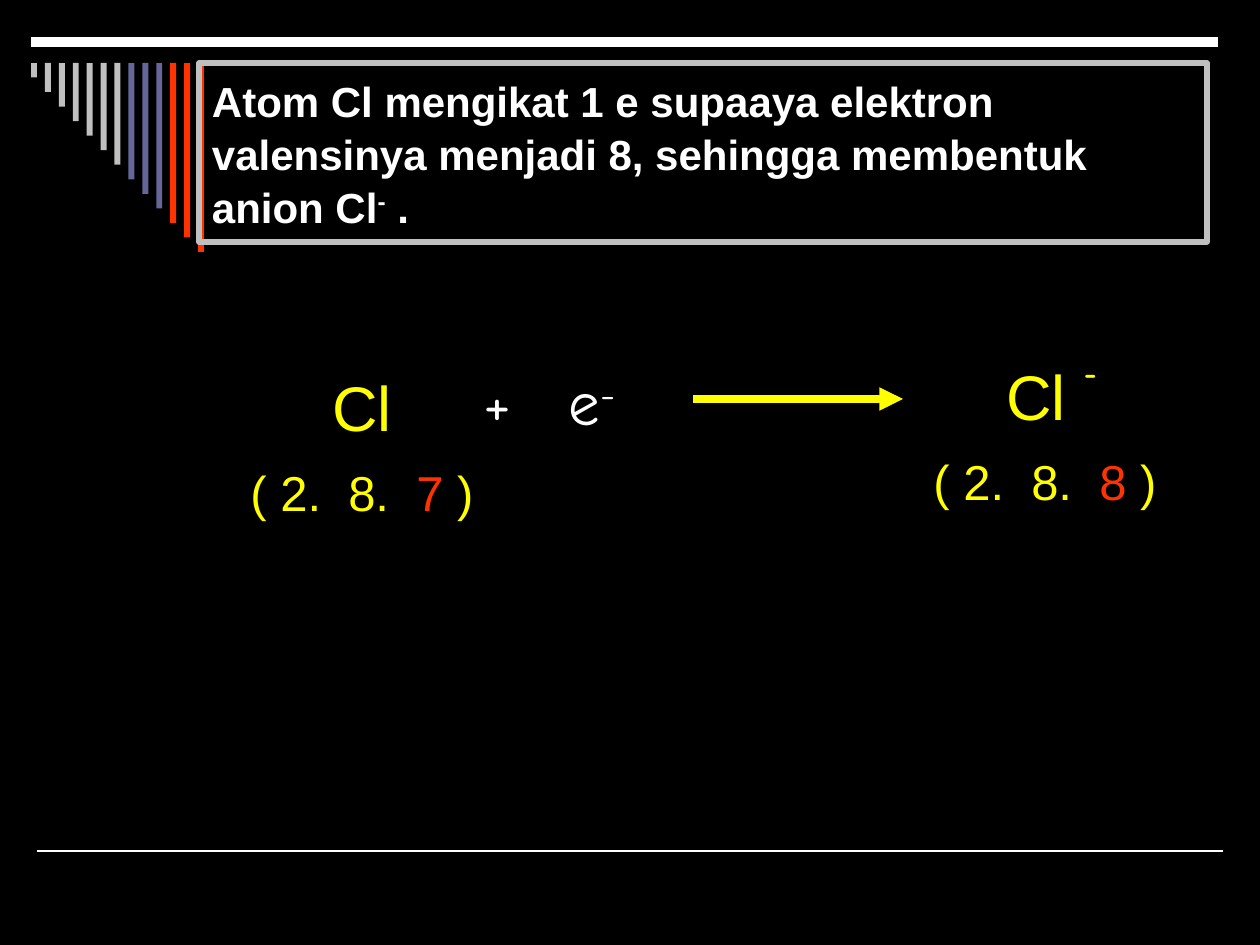
"""Build the slide on a chlorine atom gaining an electron to form an anion."""
from lxml.etree import SubElement
from pptx import Presentation
from pptx.dml.color import RGBColor
from pptx.enum.shapes import MSO_CONNECTOR as Connector, MSO_SHAPE as Shape
from pptx.enum.text import MSO_ANCHOR as Anchor, PP_ALIGN as Align
from pptx.oxml.ns import qn
from pptx.util import Pt

COLORS = {
    "black": "000000", "white": "FFFFFF", "silver": "C0C0C0",
    "slate": "666699", "red": "FF3300", "yellow": "FFFF00",
}
SLIDE_SIZE = (1260, 945)
BARS = ["silver"] * 7 + ["slate"] * 3 + ["red"] * 3
BAR_LEFT, BAR_TOP, BAR_WIDTH, BAR_LAST_LEFT, BAR_LAST_HEIGHT = 31, 63, 6, 198, 189

RULES = [
    ((37, 851), (1223, 851), "white", 1, False),
    ((31, 42), (1218, 42), "white", 6, False),
]
ARROW = ((693, 399), (903, 399), "yellow", 4.5, True)

TITLE_FRAME = (199, 63, 1008, 179)
BOLD = {"name": "Arial", "size": Pt(24), "bold": True}
TITLE = [[
    ("Atom Cl mengikat 1 e supaaya elektron valensinya menjadi 8, "
     "sehingga membentuk anion Cl", "white", BOLD, 0),
    ("-", "white", BOLD, 30),
    (" .", "white", BOLD, 0),
]]

SYMBOL = {"name": "Arial", "size": Pt(36)}
SHELLS = {"name": "Arial", "size": Pt(28)}
COMIC = {"name": "Comic Neue", "size": Pt(36)}
CHARGE = {"name": "Comic Neue", "size": Pt(18), "bold": True}


def species(symbol, valence):
    return [
        [(symbol, "yellow", SYMBOL, 0)],
        [("( 2.  8.  ", "yellow", SHELLS, 0), (valence, "red", SHELLS, 0),
         (" )", "yellow", SHELLS, 0)],
    ]


EQUATION = [
    ((231, 363, 262, 189), species("Cl", "7"), Align.CENTER),
    ((435, 357, 126, 88), [[("+", "white", COMIC, 0)]], Align.CENTER),
    ((529, 357, 126, 88),
     [[("e", "white", COMIC, 0), ("-", "white", COMIC, 30)]], Align.CENTER),
    ((914, 352, 262, 189), species("Cl ", "8"), Align.CENTER),
    ((1071, 347, 73, 50), [[("-", "yellow", CHARGE, 0)]], Align.LEFT),
]


def px(value):
    return round(value * 914400 / 126)


def rgb(name):
    return RGBColor.from_string(COLORS[name])


def apply(target, values):
    for key, value in values.items():
        setattr(target, key, value)


def write(shape, paragraphs, align, space_before=10, line_spacing=None):
    frame = shape.text_frame
    apply(frame, {"word_wrap": True, "margin_left": px(13), "margin_right": px(13),
                  "margin_top": px(6), "margin_bottom": px(6)})
    for index, spans in enumerate(paragraphs):
        para = frame.add_paragraph() if index else frame.paragraphs[0]
        apply(para, {"alignment": align, "line_spacing": line_spacing})
        if index:
            para.space_before = Pt(space_before)
        for text, color, style, raised in spans:
            span = para.add_run()
            span.text = text
            apply(span.font, style)
            span.font.color.rgb = rgb(color)
            if raised:
                span.font._element.set("baseline", str(raised * 1000))


def add_rect(page, frame):
    box = page.shapes.add_shape(Shape.RECTANGLE, *map(px, frame))
    box.shadow.inherit = False
    return box


def add_line(page, start, end, color, width, arrow):
    line = page.shapes.add_connector(Connector.STRAIGHT, *map(px, start + end))
    line.line.color.rgb = rgb(color)
    line.line.width = Pt(width)
    if arrow:
        SubElement(line.line._get_or_add_ln(), qn("a:tailEnd"), type="triangle")
    SubElement(line._element.spPr, qn("a:effectLst"))


def add_bars(page):
    step = (BAR_LAST_LEFT - BAR_LEFT) / (len(BARS) - 1)
    for index, color in enumerate(BARS):
        height = BAR_LAST_HEIGHT * (index + 1) / len(BARS)
        bar = add_rect(page, (BAR_LEFT + index * step, BAR_TOP, BAR_WIDTH, height))
        bar.fill.solid()
        bar.fill.fore_color.rgb = rgb(color)
        bar.line.fill.background()


def add_title(page):
    box = add_rect(page, TITLE_FRAME)
    box.fill.background()
    box.line.color.rgb = rgb("silver")
    box.line.width = Pt(3)
    box.text_frame.vertical_anchor = Anchor.MIDDLE
    write(box, TITLE, Align.LEFT, line_spacing=1.05)


def main():
    deck = Presentation()
    deck.slide_width, deck.slide_height = map(px, SLIDE_SIZE)
    page = deck.slides.add_slide(deck.slide_layouts[6])
    page.background.fill.solid()
    page.background.fill.fore_color.rgb = rgb("black")
    for rule in RULES:
        add_line(page, *rule)
    add_bars(page)
    add_title(page)
    add_line(page, *ARROW)
    for frame, paragraphs, align in EQUATION:
        write(page.shapes.add_textbox(*map(px, frame)), paragraphs, align)
    deck.save("out.pptx")


if __name__ == "__main__":
    main()
